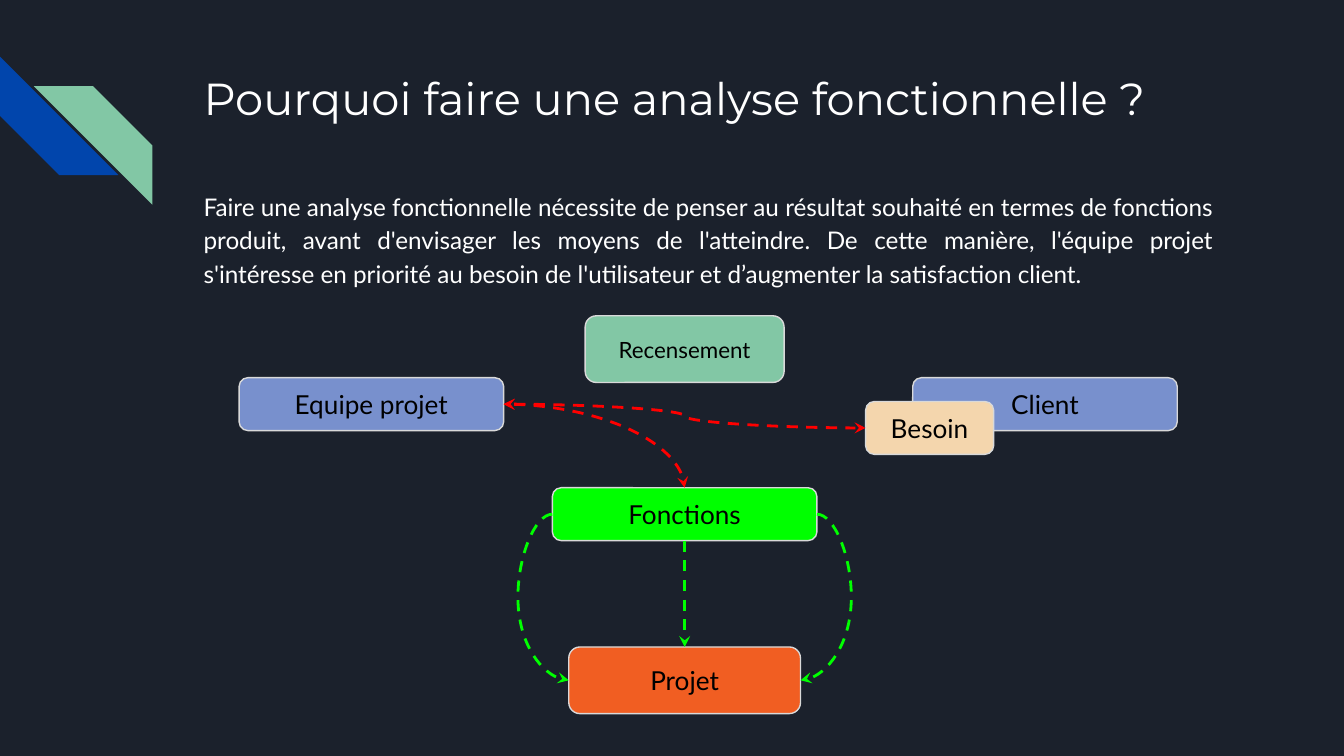
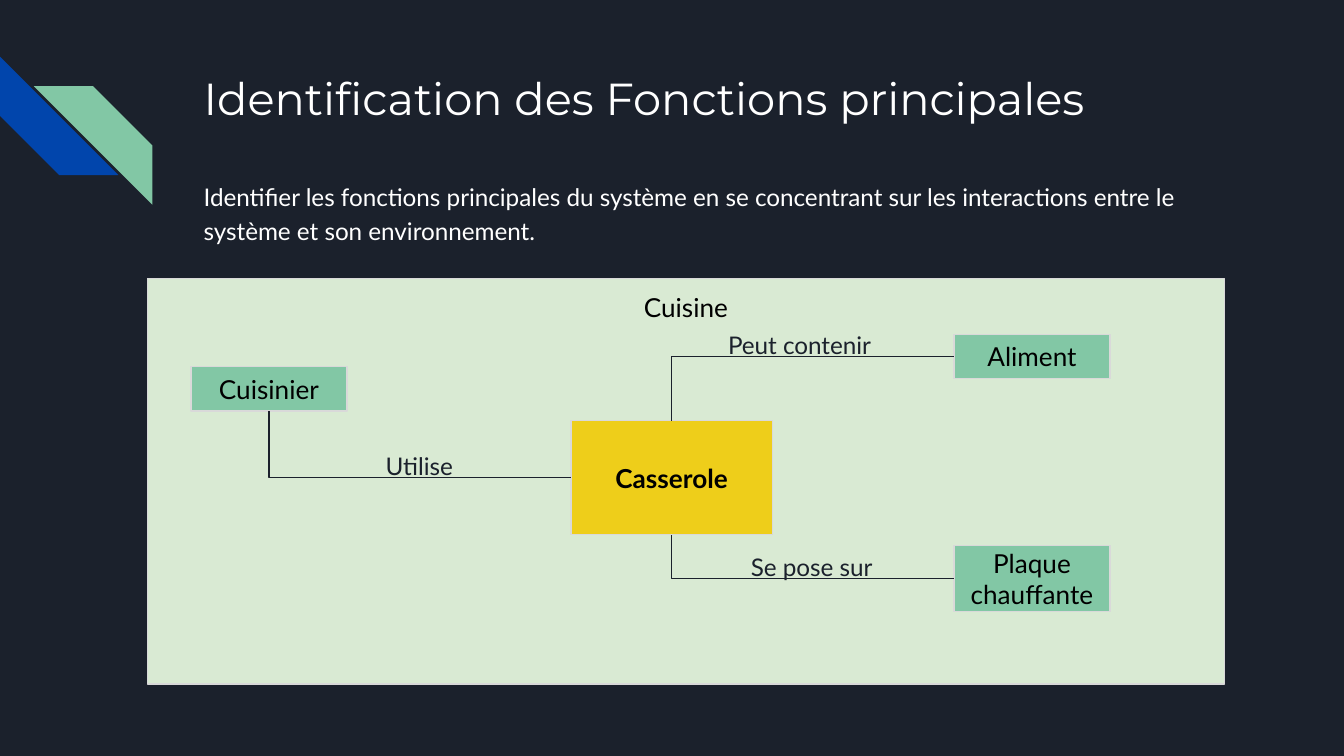
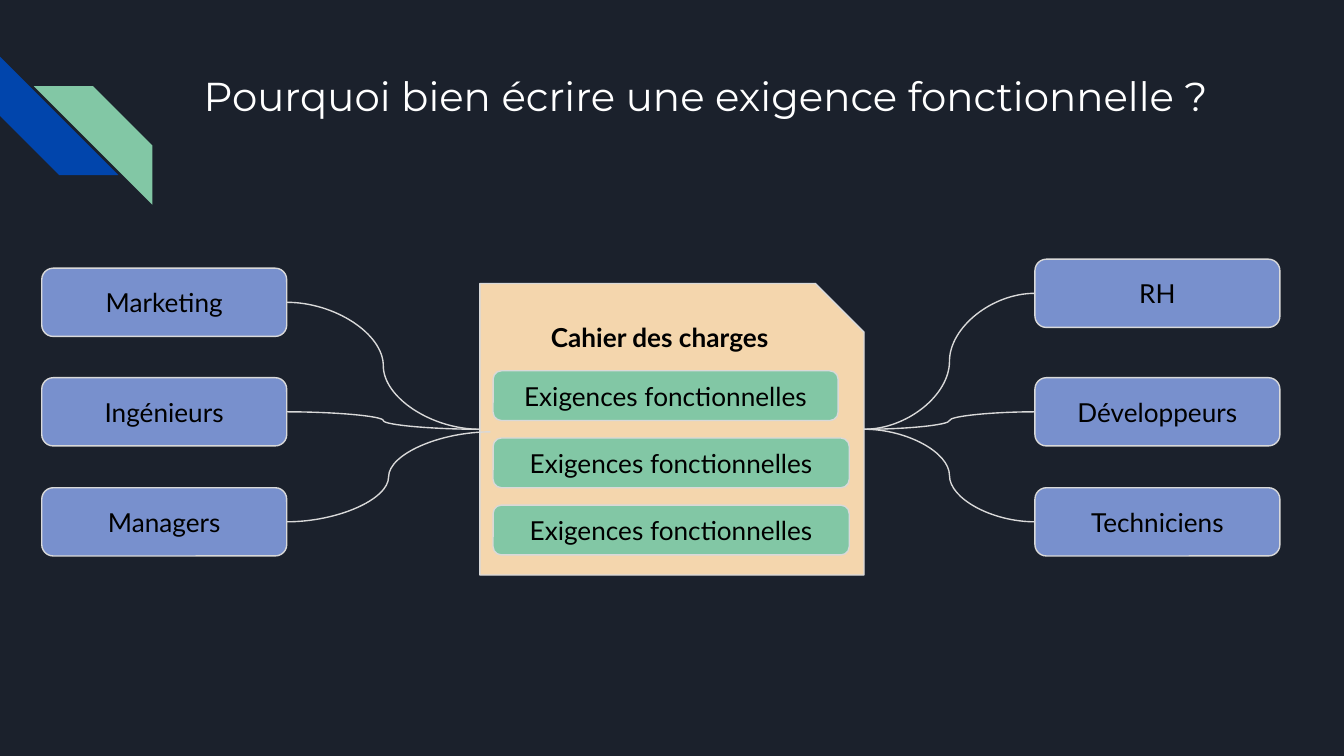
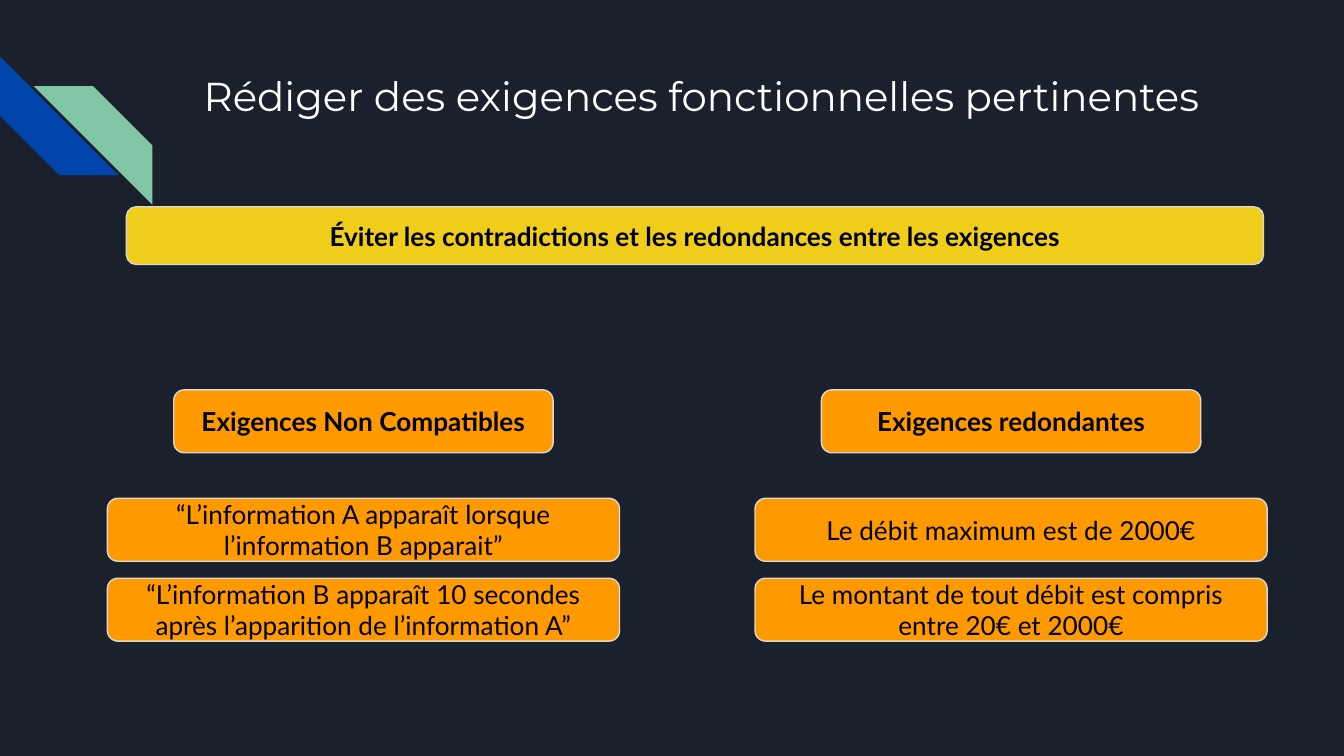
from lxml.etree import SubElement
from pptx import Presentation
from pptx.dml.color import RGBColor
from pptx.enum.dml import MSO_LINE
from pptx.enum.shapes import MSO_CONNECTOR, MSO_SHAPE
from pptx.enum.text import MSO_ANCHOR, PP_ALIGN
from pptx.oxml.ns import qn
from pptx.util import Cm, Pt

COLORS = {
    "night": "1B212C", "white": "FFFFFF", "black": "000000", "border": "D9D9D9",
    "blue": "0145AC", "mint": "82C7A5", "periwinkle": "7890CD", "sand": "F4D6AD",
    "lime": "00FF00", "red": "FF0000", "vermilion": "F15E22", "pale": "D9EAD3",
    "yellow": "EECE1A", "orange": "FF9900",
}
TOP, LEFT, BOTTOM, RIGHT = range(4)
INSET = 0.25


def rgb(name):
    return RGBColor.from_string(COLORS[name])


def write(sp, text, size=14, font="Lato", color="black", bold=False,
          align=PP_ALIGN.CENTER, anchor=MSO_ANCHOR.MIDDLE, spacing=None):
    tf = sp.text_frame
    tf.word_wrap = True
    tf.vertical_anchor = anchor
    tf.margin_left = tf.margin_right = tf.margin_top = tf.margin_bottom = Cm(INSET)
    p = tf.paragraphs[0]
    p.alignment = align
    p.line_spacing = spacing
    r = p.add_run()
    r.text = text
    r.font.size = Pt(size)
    r.font.name = font
    r.font.bold = bold
    r.font.color.rgb = rgb(color)


def add_text(s, box, text, **fmt):
    sp = s.shapes.add_textbox(*map(Cm, box))
    write(sp, text, **{"align": PP_ALIGN.LEFT, "anchor": MSO_ANCHOR.TOP, **fmt})


def add_box(s, box, fill, text="", kind=MSO_SHAPE.ROUNDED_RECTANGLE, border="border", **fmt):
    sp = s.shapes.add_shape(kind, *map(Cm, box))
    sp.shadow.inherit = False
    sp.fill.solid()
    sp.fill.fore_color.rgb = rgb(fill)
    if border:
        sp.line.color.rgb = rgb(border)
        sp.line.width = Pt(0.75)
    else:
        sp.line.fill.background()
    if text:
        write(sp, text, **fmt)
    return sp


def link(s, kind, start, end=None, point=(0, 0), color="border", width=0.75,
         dashed=False, arrows=(), corner=False, bend=None):
    cxn = s.shapes.add_connector(kind, 0, 0, *map(Cm, point))
    cxn.begin_connect(*start)
    if end:
        cxn.end_connect(*end)
    cxn.line.color.rgb = rgb(color)
    cxn.line.width = Pt(width)
    if dashed:
        cxn.line.dash_style = MSO_LINE.DASH
    spPr = cxn.element.spPr
    for tag in arrows:
        SubElement(spPr.find(qn("a:ln")), qn(tag), type="stealth")
    SubElement(spPr, qn("a:effectLst"))
    geom = spPr.find(qn("a:prstGeom"))
    if corner:
        geom.set("prst", geom.get("prst").replace("3", "2"))
    if bend is not None:
        SubElement(geom.find(qn("a:avLst")), qn("a:gd"), name="adj1", fmla=f"val {bend}")


def add_slide(prs, title, size=24):
    s = prs.slides.add_slide(prs.slide_layouts[6])
    for x, y, fill, angle in ((0, 1.07, "blue", 270), (0.64, 1.63, "mint", 90)):
        stripe = add_box(s, (x, y, 2.24, 2.24), fill,
                         kind=MSO_SHAPE.DIAGONAL_STRIPE, border=None)
        stripe.rotation = angle
    add_text(s, (3.6, 1.09, 19.56, 2.54), title, size=size, font="Montserrat", color="white")
    return s


def add_intro(s, box, text, align=PP_ALIGN.LEFT):
    add_text(s, box, text, size=13, color="white", align=align, spacing=1.15)


def project_diagram(s, box):
    x, y, w, h = box
    axis = x + 8.42

    def centred(top, width, height, fill, text, **fmt):
        return add_box(s, (axis - width / 2, y + top, width, height), fill, text, **fmt)

    team = add_box(s, (x, y + 1.17, 5, 1), "periwinkle", "Equipe projet")
    add_box(s, (x + w - 5, y + 1.17, 5, 1), "periwinkle", "Client")
    need = add_box(s, (x + 11.84, y + 1.62, 2.42, 1), "sand", "Besoin")
    functions = centred(3.25, 5, 1, "lime", "Fonctions")
    project = centred(h - 1.26, 4.38, 1.26, "vermilion", "Projet")
    centred(0, 3.76, 1.26, "mint", "Recensement", size=12)

    dashes = {"width": 1.5, "dashed": True}
    both = {"color": "red", "arrows": ("a:headEnd", "a:tailEnd"), **dashes}
    forward = {"color": "lime", "arrows": ("a:tailEnd",), **dashes}
    curve = MSO_CONNECTOR.CURVE
    link(s, curve, (team, RIGHT), (need, LEFT), **both)
    link(s, curve, (team, RIGHT), (functions, TOP), corner=True, **both)
    link(s, MSO_CONNECTOR.STRAIGHT, (functions, BOTTOM), (project, TOP), **forward)
    for side in (LEFT, RIGHT):
        link(s, curve, (functions, side), (project, side), bend=-210000, **forward)


def kitchen_diagram(s, box):
    x, y, w, h = box
    rect = MSO_SHAPE.RECTANGLE
    add_box(s, box, "pale", "Cuisine", kind=rect, anchor=MSO_ANCHOR.TOP)
    pan = add_box(s, (x + 8, y + 2.69, 3.81, 2.16), "yellow", "Casserole", kind=rect, bold=True)
    cook, food, hob = [
        add_box(s, (x + dx, y + dy, 2.95, height), "mint", text, kind=rect)
        for dx, dy, height, text in (
            (0.82, 1.67, 0.84, "Cuisinier"),
            (15.24, 1.06, 0.84, "Aliment"),
            (15.24, 5.05, 1.25, "Plaque chauffante"),
        )
    ]
    for start, end in (((pan, LEFT), (cook, BOTTOM)),
                       ((food, LEFT), (pan, TOP)),
                       ((hob, LEFT), (pan, BOTTOM))):
        link(s, MSO_CONNECTOR.ELBOW, start, end, color="night", corner=True)
    for dx, dy, text in ((10.72, 0.73, "Peut contenir"),
                         (11.15, 4.93, "Se pose sur"),
                         (4.25, 3.02, "Utilise")):
        add_text(s, (x + dx, y + dy, 5.1, 0.53), text, size=13, color="night")


def specification_diagram(s, box):
    x, y, w, h = box
    doc_x, doc_y, doc_w, doc_h = x + 8.28, y + 0.46, 7.26, 5.51
    add_box(s, (doc_x, doc_y, doc_w, doc_h), "sand", "Cahier des charges",
            kind=MSO_SHAPE.SNIP_1_RECTANGLE, bold=True, anchor=MSO_ANCHOR.TOP)
    for i, width in enumerate((6.52, 6.73, 6.73)):
        add_box(s, (doc_x + 0.25, doc_y + 1.65 + 1.27 * i, width, 0.94),
                "mint", "Exigences fonctionnelles")

    middle = doc_y + doc_h / 2
    left_end, right_end = (doc_x, middle), (doc_x + doc_w, middle)
    role_w, role_h = 4.63, 1.29
    right_x = x + w - role_w
    for role_x, role_y, text, side, point in (
        (x, 0.17, "Marketing", RIGHT, left_end),
        (x, 2.24, "Ingénieurs", RIGHT, left_end),
        (x, 4.32, "Managers", RIGHT, (doc_x + 0.2, middle + 0.05)),
        (right_x, 0, "RH", LEFT, right_end),
        (right_x, 2.24, "Développeurs", LEFT, right_end),
        (right_x, 4.32, "Techniciens", LEFT, right_end),
    ):
        role = add_box(s, (role_x, y + role_y, role_w, role_h), "periwinkle", text)
        link(s, MSO_CONNECTOR.CURVE, (role, side), point=point)


def requirement_column(s, box, heading, examples):
    x, y, w, h = box
    row_h, heading_w = 1.19, 7.17
    add_box(s, (x + (w - heading_w) / 2, y, heading_w, row_h), "orange", heading, bold=True)
    for i, text in enumerate(examples):
        add_box(s, (x, y + 2.05 + 1.51 * i, w, row_h), "orange", text)


def main():
    prs = Presentation()
    prs.slide_width, prs.slide_height = Cm(25.4), Cm(14.29)
    bg = prs.slide_master.background.fill
    bg.solid()
    bg.fore_color.rgb = rgb("night")

    s = add_slide(prs, "Pourquoi faire une analyse fonctionnelle ?")
    add_intro(s, (3.6, 3.3, 19.56, 3.2),
              "Faire une analyse fonctionnelle nécessite de penser au résultat souhaité en termes "
              "de fonctions produit, avant d'envisager les moyens de l'atteindre. De cette manière, "
              "l'équipe projet s'intéresse en priorité au besoin de l'utilisateur et d’augmenter "
              "la satisfaction client.", align=PP_ALIGN.JUSTIFY)
    project_diagram(s, (4.52, 5.97, 17.73, 7.52))

    s = add_slide(prs, "Identification des Fonctions principales")
    kitchen_diagram(s, (2.79, 5.26, 20.35, 7.67))
    add_intro(s, (3.6, 3.12, 19.56, 2.16),
              "Identifier les fonctions principales du système en se concentrant sur les "
              "interactions entre le système et son environnement.")

    s = add_slide(prs, "Pourquoi bien écrire une exigence fonctionnelle ?", size=21.6)
    specification_diagram(s, (0.79, 4.9, 23.4, 5.97))

    s = add_slide(prs, "Rédiger des exigences fonctionnelles pertinentes", size=21.6)
    add_box(s, (2.39, 3.91, 21.49, 1.09), "yellow",
            "Éviter les contradictions et les redondances entre les exigences", bold=True)
    requirement_column(s, (2.03, 7.37, 9.68, 4.75), "Exigences Non Compatibles", (
        "“L’information A apparaît lorsque l’information B apparait”",
        "“L’information B apparaît 10 secondes après l’apparition de l’information A”"))
    requirement_column(s, (14.27, 7.37, 9.68, 4.75), "Exigences redondantes", (
        "Le débit maximum est de 2000€",
        "Le montant de tout débit est compris entre 20€ et 2000€"))

    prs.save("out.pptx")


if __name__ == "__main__":
    main()
